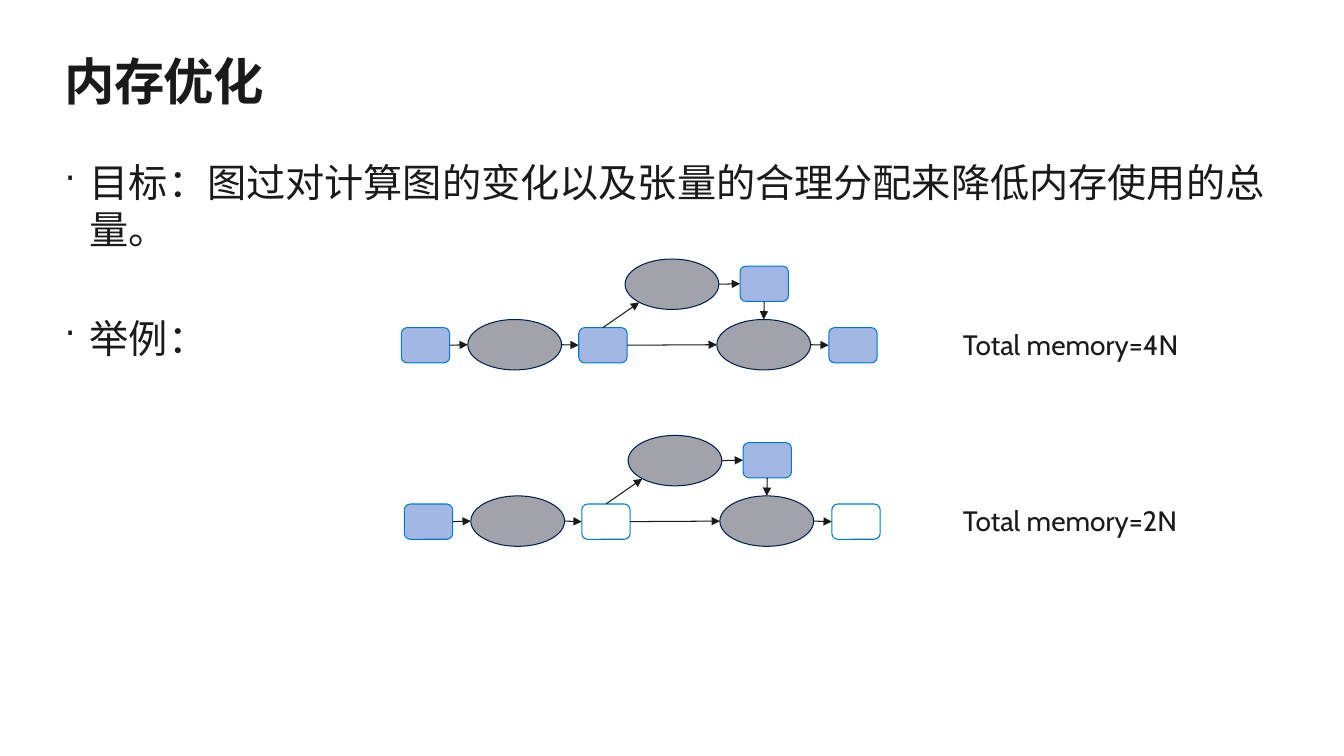
from dataclasses import dataclass

from lxml import etree
from pptx import Presentation
from pptx import util as u
from pptx.dml.color import RGBColor
from pptx.enum import shapes, text
from pptx.oxml.ns import qn


@dataclass(frozen=True)
class Theme:
    font: str = "Cabin"
    ink: str = "1A1A1A"
    tensor: str = "A2B7E4"
    reused: str = "FFFFFF"
    tensor_edge: str = "0078D4"
    operator: str = "A2A3AA"
    operator_edge: str = "002050"
    title_size: float = 36
    body_size: float = 28
    label_size: float = 20
    line_width: float = 0.75


THEME = Theme()
TENSOR_SIZE = (0.48, 0.35)
OPERATOR_SIZE = (0.93, 0.5)
TOP, LEFT, BOTTOM, RIGHT = range(4)


def add_frame(slide, box, wrap=True):
    frame = slide.shapes.add_textbox(*map(u.Inches, box)).text_frame
    settings = {"margin_left": 0, "margin_top": 0, "margin_right": 0, "margin_bottom": 0,
                "word_wrap": wrap, "auto_size": text.MSO_AUTO_SIZE.NONE}
    for name, value in settings.items():
        setattr(frame, name, value)
    return frame


def write(paragraph, words, size, bold=False):
    """Add a run whose Latin and East Asian fonts are both the theme font."""
    run = paragraph.add_run()
    run.text = words
    for name, value in {"name": THEME.font, "size": u.Pt(size), "bold": bold}.items():
        setattr(run.font, name, value)
    run.font.color.rgb = RGBColor.from_string(THEME.ink)
    properties = run._r.get_or_add_rPr()
    etree.SubElement(properties, qn("a:ea"), typeface=THEME.font)
    return properties


def add_title(slide, box, words):
    properties = write(add_frame(slide, box).paragraphs[0], words, THEME.title_size, bold=True)
    properties.set("spc", "-50")


def add_bullets(slide, box, items, gap):
    frame = add_frame(slide, box)
    for index, words in enumerate(items):
        paragraph = frame.add_paragraph() if index else frame.paragraphs[0]
        layout = paragraph._p.get_or_add_pPr()
        layout.set("marL", str(u.Inches(0.25)))
        layout.set("indent", str(u.Inches(-0.25)))
        etree.SubElement(layout, qn("a:buSzPct"), val="90000")
        etree.SubElement(layout, qn("a:buChar"), char="·")
        paragraph.space_before = u.Pt(gap if index else 0)
        write(paragraph, words, THEME.body_size)


def add_node(slide, kind, position, size, fill, edge):
    node = slide.shapes.add_shape(kind, *map(u.Inches, position + size))
    node.shadow.inherit = False
    node.fill.solid()
    node.fill.fore_color.rgb = RGBColor.from_string(fill)
    node.line.color.rgb = RGBColor.from_string(edge)
    node.line.width = u.Pt(THEME.line_width)
    return node


def side_point(node, side):
    across, down = {TOP: (0.5, 0), LEFT: (0, 0.5), BOTTOM: (0.5, 1), RIGHT: (1, 0.5)}[side]
    return (node.left + int(node.width * across), node.top + int(node.height * down))


def add_arrow(slide, start, end):
    """Draw an arrow between (node, side) ends; an end may also be a plain point."""
    def locate(place):
        return side_point(*place) if hasattr(place[0], "auto_shape_type") else place

    arrow = slide.shapes.add_connector(
        shapes.MSO_CONNECTOR.STRAIGHT, *locate(start), *locate(end))
    for place, join in ((start, arrow.begin_connect), (end, arrow.end_connect)):
        if (hasattr(place[0], "auto_shape_type")
                and place[0].auto_shape_type == shapes.MSO_SHAPE.ROUNDED_RECTANGLE):
            join(*place)
    arrow.line.color.rgb = RGBColor.from_string(THEME.ink)
    arrow.line.width = u.Pt(THEME.line_width)
    etree.SubElement(arrow.line._get_or_add_ln(), qn("a:tailEnd"), type="triangle")
    etree.SubElement(arrow._element.spPr, qn("a:effectLst"))


def add_graph(slide, left, top, result_fill):
    """Draw a computation graph; result_fill colours the tensors that may reuse memory."""
    def tensor(x, y, fill=THEME.tensor):
        return add_node(slide, shapes.MSO_SHAPE.ROUNDED_RECTANGLE, (left + x, top + y),
                        TENSOR_SIZE, fill, THEME.tensor_edge)

    def operator(x, y):
        return add_node(slide, shapes.MSO_SHAPE.OVAL, (left + x, top + y),
                        OPERATOR_SIZE, THEME.operator, THEME.operator_edge)

    source = tensor(0, 0.68)
    first_operator = operator(0.66, 0.6)
    shared = tensor(1.76, 0.68, result_fill)
    branch_operator = operator(2.22, 0)
    branch = tensor(3.36, 0.07)
    merge_operator = operator(3.13, 0.6)
    result = tensor(4.24, 0.68, result_fill)

    flow = [(source, first_operator), (first_operator, shared), (shared, merge_operator),
            (branch_operator, branch), (merge_operator, result)]
    for origin, target in flow:
        add_arrow(slide, (origin, RIGHT), (target, LEFT))
    add_arrow(slide, (branch, BOTTOM), (merge_operator, TOP))
    branch_entry = (u.Inches(left + 2.36), u.Inches(top + 0.43))
    add_arrow(slide, (shared, TOP), branch_entry)


def add_label(slide, box, words):
    write(add_frame(slide, box, wrap=False).paragraphs[0], words, THEME.label_size)


def main():
    deck = Presentation()
    deck.slide_width, deck.slide_height = u.Inches(13.33), u.Inches(7.5)
    slide = deck.slides.add_slide(deck.slide_layouts[6])
    add_title(slide, (0.64, 0.5, 12.05, 0.61), "内存优化")
    add_bullets(slide, (0.64, 1.57, 12.05, 2.64),
                ["目标：图过对计算图的变化以及张量的合理分配来降低内存使用的总量。", "举例："],
                gap=44)
    examples = [(3.98, 2.57, THEME.tensor, "Total memory=4N"),
                (4.01, 4.32, THEME.reused, "Total memory=2N")]
    for left, top, result_fill, total in examples:
        add_graph(slide, left, top, result_fill)
        add_label(slide, (9.55, top + 0.68, 2.26, 0.34), total)
    deck.save("out.pptx")


if __name__ == "__main__":
    main()
